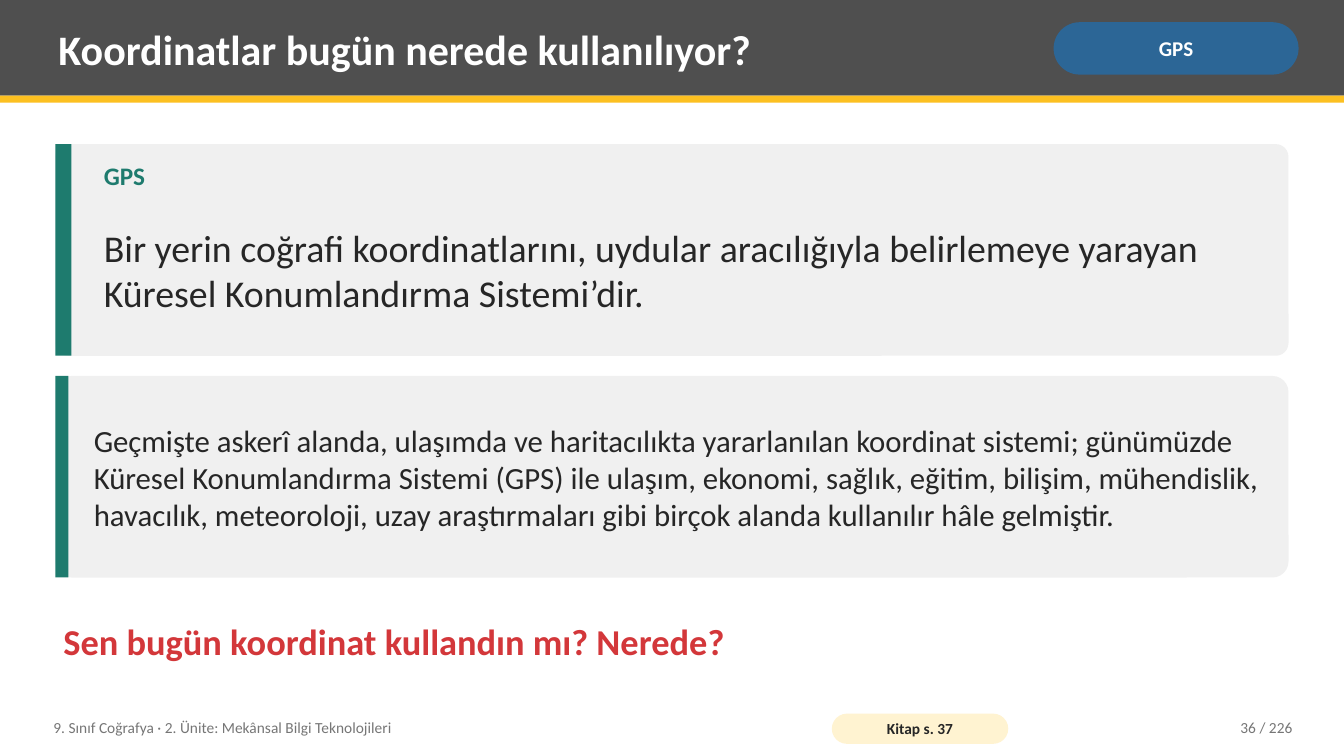
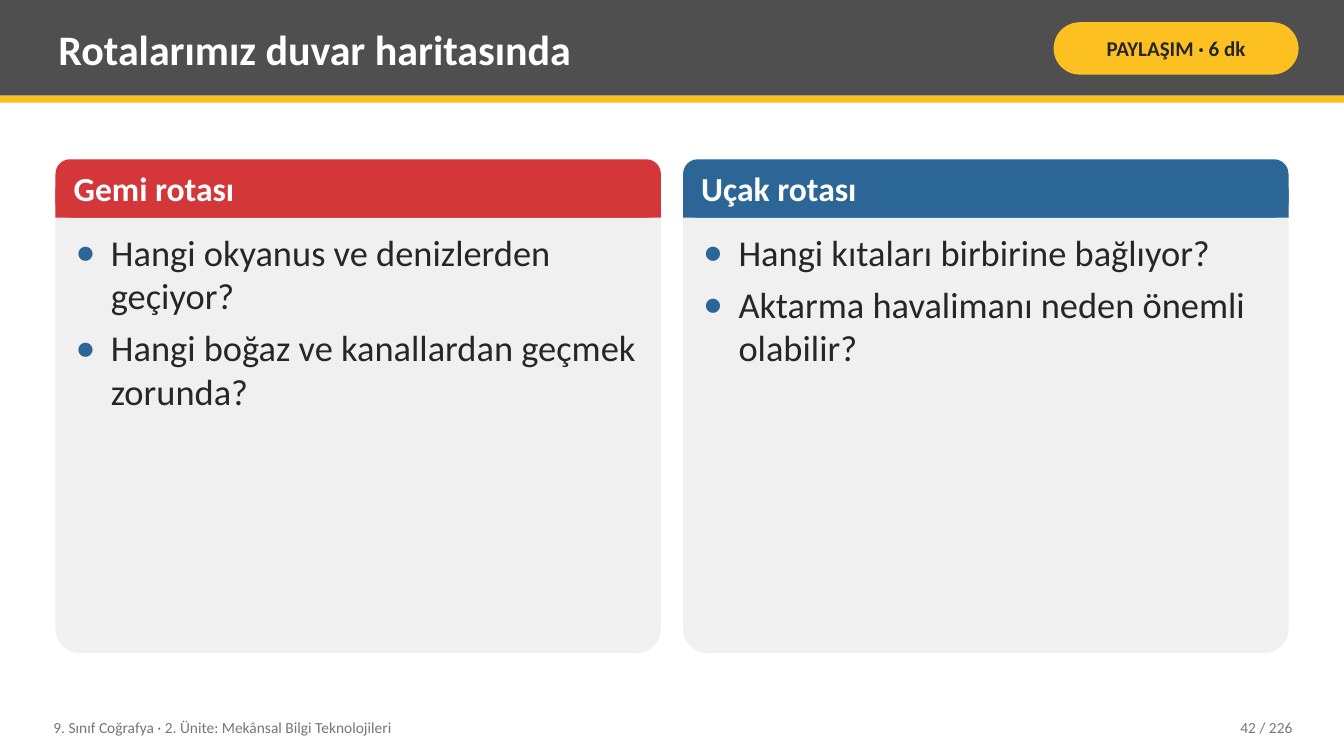
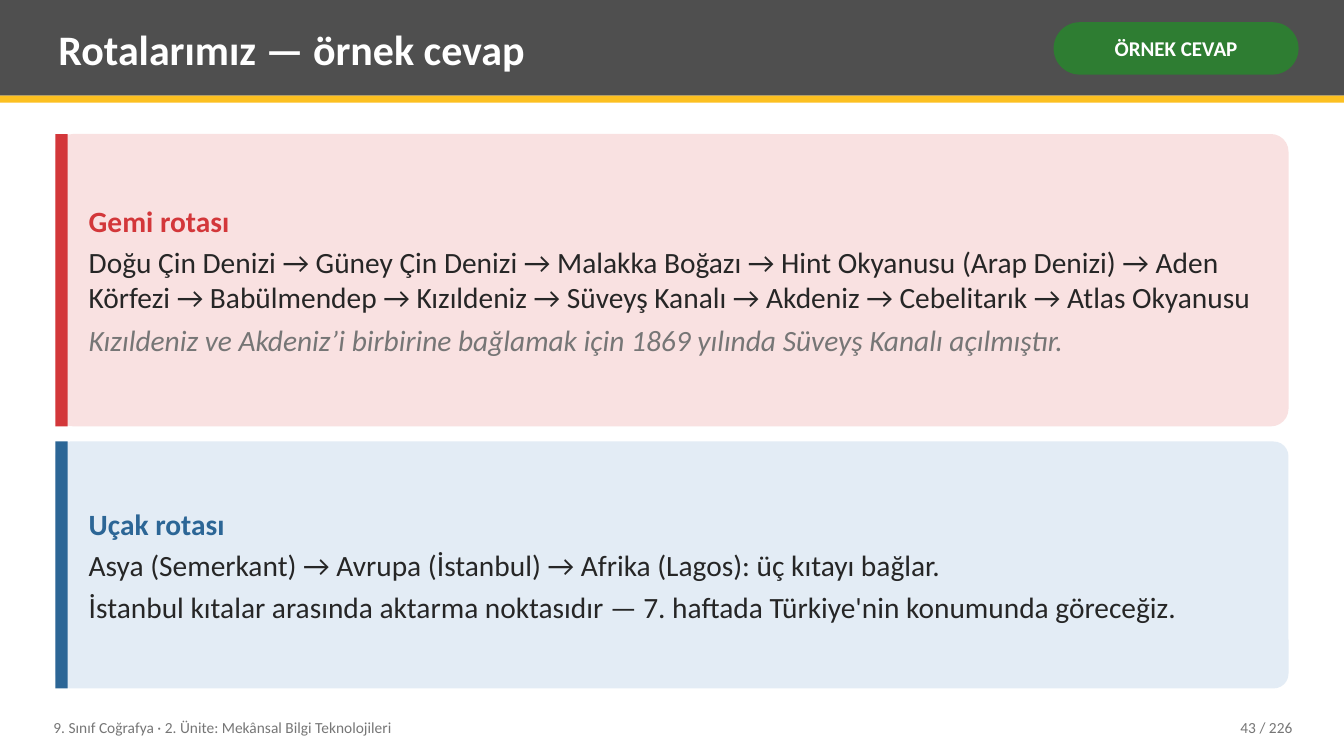
from dataclasses import dataclass
from typing import Any, Optional

import lxml.etree
import pptx
import pptx.dml.color
import pptx.enum.shapes
import pptx.enum.text
import pptx.oxml.ns
import pptx.util

Inches = pptx.util.Inches
Align = pptx.enum.text.PP_ALIGN
Anchor = pptx.enum.text.MSO_ANCHOR
Preset = pptx.enum.shapes.MSO_SHAPE
Box = tuple[float, float, float, float]

FONT = "Calibri"
WHITE, INK, GREY, BAND = "FFFFFF", "262626", "767676", "4F4F4F"
RED, BLUE, TEAL, GREEN, YELLOW = "D3373A", "2C6696", "1E7B6E", "2E7D32", "FCC021"
PALE_GREY, PALE_RED, PALE_BLUE, PALE_YELLOW = "F0F0F0", "F9E1E1", "E3ECF5", "FFF3D1"

SLIDE_WIDTH, SLIDE_HEIGHT = 13.33, 7.5
LEFT, CONTENT_WIDTH = 0.55, 12.23
COLUMN_GAP = 0.22
COLUMN_WIDTH = (CONTENT_WIDTH - COLUMN_GAP) / 2
COLUMN_TOP, COLUMN_HEIGHT, HEADER_HEIGHT = 1.58, 4.9, 0.58
TEXT_INSETS = (0.08, 0.04)
TITLE_ONLY, TWO_CONTENT = 5, 3
UNIT = "9. Sınıf Coğrafya · 2. Ünite: Mekânsal Bilgi Teknolojileri"
PAGE_COUNT = 226


@dataclass
class Frame:
    title: str
    badge: str
    badge_fill: str
    page: int
    badge_color: str = WHITE
    layout: int = TITLE_ONLY


@dataclass
class Line:
    text: str
    color: str = INK
    bold: bool = False
    italic: bool = False
    space_after: float = 0


@dataclass
class Column:
    heading: str
    color: str
    questions: list[str]


@dataclass
class Answer:
    top: float
    height: float
    color: str
    fill: str
    lines: list[Line]


def rgb(color: str) -> pptx.dml.color.RGBColor:
    return pptx.dml.color.RGBColor.from_string(color)


def place(shape: Any, box: Box) -> None:
    shape.left, shape.top, shape.width, shape.height = map(Inches, box)


def bring_to_front(shape: Any) -> None:
    shape.element.getparent().append(shape.element)


def add_bullet(paragraph: Any, color: str, indent: float) -> None:
    properties = paragraph._p.get_or_add_pPr()
    properties.set("marL", str(Inches(indent)))
    properties.set("indent", str(-Inches(indent)))
    qualified = pptx.oxml.ns.qn
    bullet_color = lxml.etree.SubElement(properties, qualified("a:buClr"))
    lxml.etree.SubElement(bullet_color, qualified("a:srgbClr"), val=color)
    lxml.etree.SubElement(properties, qualified("a:buSzPct"), val="110000")
    lxml.etree.SubElement(properties, qualified("a:buFont"), typeface=FONT)
    lxml.etree.SubElement(properties, qualified("a:buChar"), char="•")


def write(shape: Any, lines: list[Line], *, size: float, align: Any = Align.LEFT,
          anchor: Any = Anchor.MIDDLE, insets: tuple[float, float] = TEXT_INSETS,
          bullet: Optional[str] = None) -> None:
    """Fill a shape with one paragraph per line; bullet is the bullet colour."""
    frame = shape.text_frame
    frame.word_wrap = True
    frame.auto_size = pptx.enum.text.MSO_AUTO_SIZE.NONE
    frame.vertical_anchor = anchor
    frame.margin_left = frame.margin_right = Inches(insets[0])
    frame.margin_top = frame.margin_bottom = Inches(insets[1])
    for index, line in enumerate(lines):
        paragraph = frame.paragraphs[0] if index == 0 else frame.add_paragraph()
        if bullet:
            add_bullet(paragraph, bullet, 0.35)
        paragraph.alignment = align
        paragraph.space_before = pptx.util.Pt(0)
        paragraph.space_after = pptx.util.Pt(line.space_after)
        run = paragraph.add_run()
        run.text = line.text
        run.font.name = FONT
        run.font.size = pptx.util.Pt(size)
        run.font.bold = line.bold
        run.font.italic = line.italic
        run.font.color.rgb = rgb(line.color)


def add_text(slide: Any, box: Box, lines: list[Line], **text_format: Any) -> None:
    write(slide.shapes.add_textbox(*map(Inches, box)), lines, **text_format)


def add_block(slide: Any, box: Box, fill: str, radius: Optional[float] = None) -> Any:
    """Add a plain rectangle, rounded when a radius ratio is given."""
    preset = Preset.RECTANGLE if radius is None else Preset.ROUNDED_RECTANGLE
    shape = slide.shapes.add_shape(preset, *map(Inches, box))
    if radius is not None:
        shape.adjustments[0] = radius
    shape.shadow.inherit = False
    shape.fill.solid()
    shape.fill.fore_color.rgb = rgb(fill)
    shape.line.fill.background()
    return shape


def add_pill(slide: Any, box: Box, fill: str, line: Line, **text_format: Any) -> None:
    write(add_block(slide, box, fill, 0.5), [line], align=Align.CENTER, **text_format)


def add_card(slide: Any, top: float, height: float, bar_width: float, bar_color: str,
             fill: str, radius: float = 0.06) -> None:
    add_block(slide, (LEFT, top, CONTENT_WIDTH, height), fill, radius)
    add_block(slide, (LEFT, top, bar_width, height), bar_color)


def add_framed_slide(presentation: Any, frame: Frame) -> Any:
    """Add a slide with the title band, badge, unit name and page number."""
    slide = presentation.slides.add_slide(presentation.slide_layouts[frame.layout])
    add_block(slide, (0, 0, SLIDE_WIDTH, 0.95), BAND)
    add_block(slide, (0, 0.95, SLIDE_WIDTH, 0.07), YELLOW)
    title = slide.shapes.title
    place(title, (0.5, 0.07, 9.75, 0.82))
    write(title, [Line(frame.title, WHITE, bold=True)], size=30)
    bring_to_front(title)
    add_pill(slide, (10.45, 0.22, 2.43, 0.52), frame.badge_fill,
             Line(frame.badge, frame.badge_color, bold=True), size=15, insets=(0.05, 0.02))
    add_text(slide, (0.45, 7.04, 7.6, 0.36), [Line(UNIT, GREY)], size=11)
    add_text(slide, (11.3, 7.04, 1.6, 0.36), [Line(f"{frame.page} / {PAGE_COUNT}", GREY)],
             size=11, align=Align.RIGHT)
    return slide


def add_column(slide: Any, left: float, column: Column, body: Any) -> None:
    half = HEADER_HEIGHT / 2
    add_block(slide, (left, COLUMN_TOP, COLUMN_WIDTH, COLUMN_HEIGHT), PALE_GREY, 0.05)
    add_block(slide, (left, COLUMN_TOP, COLUMN_WIDTH, HEADER_HEIGHT), column.color, 0.25)
    add_block(slide, (left, COLUMN_TOP + half, COLUMN_WIDTH, half), column.color)
    add_text(slide, (left + 0.1, COLUMN_TOP, COLUMN_WIDTH - 0.2, HEADER_HEIGHT),
             [Line(column.heading, WHITE, bold=True)], size=24)
    place(body, (left + 0.12, 2.24, COLUMN_WIDTH - 0.24, 4.16))
    write(body, [Line(question, space_after=6) for question in column.questions],
          size=26, anchor=Anchor.TOP, bullet=BLUE)
    bring_to_front(body)


def build_gps_slide(presentation: Any) -> None:
    slide = add_framed_slide(presentation, Frame(
        "Koordinatlar bugün nerede kullanılıyor?", "GPS", BLUE, 36))
    add_card(slide, 1.43, 2.1, 0.16, TEAL, PALE_GREY)
    add_text(slide, (0.95, 1.55, 11.63, 0.45), [Line("GPS", TEAL, bold=True)],
             size=18, anchor=Anchor.TOP)
    add_text(slide, (0.95, 1.98, 11.63, 1.4), [Line(
        "Bir yerin coğrafi koordinatlarını, uydular aracılığıyla belirlemeye yarayan "
        "Küresel Konumlandırma Sistemi’dir.")], size=27)
    add_card(slide, 3.73, 2, 0.13, TEAL, PALE_GREY, 0.08)
    add_text(slide, (0.85, 3.73, 11.78, 2), [Line(
        "Geçmişte askerî alanda, ulaşımda ve haritacılıkta yararlanılan koordinat sistemi; "
        "günümüzde Küresel Konumlandırma Sistemi (GPS) ile ulaşım, ekonomi, sağlık, eğitim, "
        "bilişim, mühendislik, havacılık, meteoroloji, uzay araştırmaları gibi birçok alanda "
        "kullanılır hâle gelmiştir.")], size=22)
    add_text(slide, (LEFT, 5.93, CONTENT_WIDTH, 0.85),
             [Line("Sen bugün koordinat kullandın mı? Nerede?", RED, bold=True)], size=26)
    add_pill(slide, (8.25, 7.08, 1.75, 0.3), PALE_YELLOW, Line("Kitap s. 37", bold=True),
             size=11, insets=(0.04, 0))


def build_routes_slide(presentation: Any) -> None:
    slide = add_framed_slide(presentation, Frame(
        "Rotalarımız duvar haritasında", "PAYLAŞIM · 6 dk", YELLOW, 42, INK, TWO_CONTENT))
    columns = [
        Column("Gemi rotası", RED, ["Hangi okyanus ve denizlerden geçiyor?",
                                    "Hangi boğaz ve kanallardan geçmek zorunda?"]),
        Column("Uçak rotası", BLUE, ["Hangi kıtaları birbirine bağlıyor?",
                                     "Aktarma havalimanı neden önemli olabilir?"]),
    ]
    bodies = [slide.placeholders[1], slide.placeholders[2]]
    for index, (column, body) in enumerate(zip(columns, bodies)):
        add_column(slide, LEFT + index * (COLUMN_WIDTH + COLUMN_GAP), column, body)


def build_answers_slide(presentation: Any) -> None:
    slide = add_framed_slide(presentation, Frame(
        "Rotalarımız — örnek cevap", "ÖRNEK CEVAP", GREEN, 43))
    answers = [
        Answer(1.33, 2.9, RED, PALE_RED, [
            Line("Gemi rotası", RED, bold=True, space_after=4),
            Line("Doğu Çin Denizi → Güney Çin Denizi → Malakka Boğazı → Hint Okyanusu "
                 "(Arap Denizi) → Aden Körfezi → Babülmendep → Kızıldeniz → Süveyş Kanalı → "
                 "Akdeniz → Cebelitarık → Atlas Okyanusu", space_after=5),
            Line("Kızıldeniz ve Akdeniz’i birbirine bağlamak için 1869 yılında "
                 "Süveyş Kanalı açılmıştır.", GREY, italic=True),
        ]),
        Answer(4.38, 2.45, BLUE, PALE_BLUE, [
            Line("Uçak rotası", BLUE, bold=True, space_after=4),
            Line("Asya (Semerkant) → Avrupa (İstanbul) → Afrika (Lagos): üç kıtayı bağlar.",
                 space_after=5),
            Line("İstanbul kıtalar arasında aktarma noktasıdır — 7. haftada "
                 "Türkiye'nin konumunda göreceğiz."),
        ]),
    ]
    for answer in answers:
        add_card(slide, answer.top, answer.height, 0.12, answer.color, answer.fill)
        add_text(slide, (0.8, answer.top + 0.06, 11.88, answer.height - 0.12),
                 answer.lines, size=21)


def main() -> None:
    presentation = pptx.Presentation()
    presentation.slide_width = Inches(SLIDE_WIDTH)
    presentation.slide_height = Inches(SLIDE_HEIGHT)
    build_gps_slide(presentation)
    build_routes_slide(presentation)
    build_answers_slide(presentation)
    presentation.save("out.pptx")


if __name__ == "__main__":
    main()
